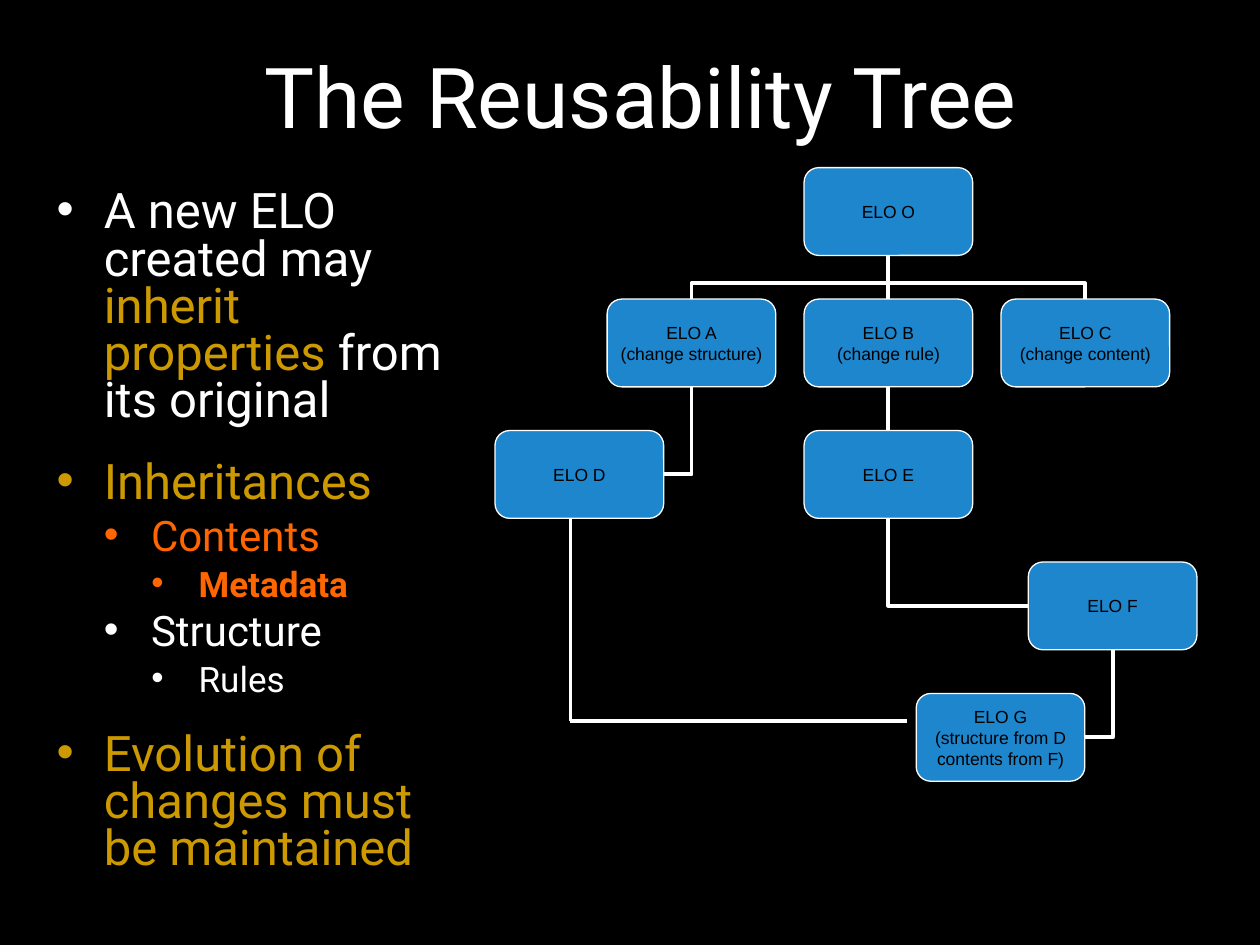
"""Build the slide about the reusability tree of ELOs."""
from dataclasses import dataclass

from lxml import etree
from pptx import Presentation
from pptx.dml.color import RGBColor
from pptx.enum.shapes import MSO_CONNECTOR, MSO_SHAPE
from pptx.enum.text import MSO_ANCHOR, MSO_AUTO_SIZE, PP_ALIGN
from pptx.oxml.ns import qn
from pptx.util import Cm, Pt

STRAIGHT, ELBOW = MSO_CONNECTOR.STRAIGHT, MSO_CONNECTOR.ELBOW
ROUNDED = MSO_SHAPE.ROUNDED_RECTANGLE
MIDDLE, TOP = MSO_ANCHOR.MIDDLE, MSO_ANCHOR.TOP
CENTER, LEFT = PP_ALIGN.CENTER, PP_ALIGN.LEFT
NO_AUTOFIT = MSO_AUTO_SIZE.NONE
TOP_SIDE, BOTTOM_SIDE = 0, 2


@dataclass(frozen=True)
class Theme:
    background: RGBColor = RGBColor(0x00, 0x00, 0x00)
    text: RGBColor = RGBColor(0xFF, 0xFF, 0xFF)
    gold: RGBColor = RGBColor(0xCC, 0x99, 0x00)
    orange: RGBColor = RGBColor(0xFF, 0x66, 0x00)
    box: RGBColor = RGBColor(0x1D, 0x86, 0xCD)
    box_text: RGBColor = RGBColor(0x00, 0x00, 0x00)
    font: str = "Roboto"
    box_font: str = "Arial"
    title_size: Pt = Pt(48)
    level_sizes: tuple = (Pt(28), Pt(24), Pt(20))
    box_size: Pt = Pt(10)
    box_line: Pt = Pt(0.75)
    link_line: Pt = Pt(2.25)


THEME = Theme()
LEVEL_INDENTS = (Cm(0.95), Cm(1.9), Cm(2.86))
LEVEL_SPACING = (Pt(20), Pt(6), Pt(6))
HANGING = Cm(-0.95)
BOX_WIDTH, BOX_HEIGHT = Cm(3.4), Cm(1.77)
ROOT_LEFT, ROOT_TOP = Cm(16.21), Cm(3.38)
SIBLING_STEP, SIDE_STEP, ROW_STEP = Cm(3.97), Cm(2.26), Cm(2.65)


@dataclass(frozen=True)
class Bullet:
    runs: tuple
    level: int = 0
    color: RGBColor = THEME.text
    bold: bool = False


@dataclass(frozen=True)
class Node:
    name: str
    row: int
    siblings: int = 0
    sidesteps: int = 0
    note: str = ""


BULLETS = (
    Bullet((("A new ELO created may ", None), ("inherit properties", THEME.gold),
            (" from its original", None))),
    Bullet((("Inheritances", None),), color=THEME.gold),
    Bullet((("Contents", None),), 1, THEME.orange),
    Bullet((("Metadata", None),), 2, THEME.orange, True),
    Bullet((("Structure", None),), 1),
    Bullet((("Rules", None),), 2),
    Bullet((("Evolution of changes must be maintained", None),), color=THEME.gold),
)
NODES = (
    Node("O", 0),
    Node("A", 1, siblings=-1, note="\n(change structure)"),
    Node("B", 1, note="\n(change rule)"),
    Node("C", 1, siblings=1, note="\n(change content)"),
    Node("E", 2),
    Node("F", 3, sidesteps=2),
    Node("D", 2, siblings=-1, sidesteps=-1),
    Node("G", 4, sidesteps=1, note="\n(structure from D\ncontents from F)"),
)
STRAIGHT_LINKS = (("B", "O"), ("E", "B"))
FORK_LINKS = (("A", "O"), ("C", "O"))
CORNER_LINKS = (("G", "F"), ("D", "A"), ("F", "E"))


def place(shape, left: Cm, top: Cm, width: Cm, height: Cm) -> None:
    shape.left, shape.top, shape.width, shape.height = left, top, width, height


def style_font(font, name: str, size: Pt, color: RGBColor, bold: bool = False) -> None:
    font.name, font.size, font.bold = name, size, bold
    font.color.rgb = color


def fill_title(title) -> None:
    place(title, Cm(1.7), Cm(0.64), Cm(22.43), Cm(2.54))
    frame = title.text_frame
    frame.text = "The Reusability Tree"
    frame.auto_size, frame.vertical_anchor = NO_AUTOFIT, MIDDLE
    paragraph = frame.paragraphs[0]
    paragraph.alignment = CENTER
    style_font(paragraph.font, THEME.font, THEME.title_size, THEME.text)


def add_bullet(paragraph, bullet: Bullet) -> None:
    level = bullet.level
    paragraph.level, paragraph.alignment = level, LEFT
    paragraph.line_spacing, paragraph.space_before = 0.8, LEVEL_SPACING[level]
    properties = paragraph._p.get_or_add_pPr()
    properties.set("marL", str(LEVEL_INDENTS[level]))
    properties.set("indent", str(HANGING))
    etree.SubElement(properties, qn("a:buChar")).set("char", "•")
    style_font(paragraph.font, THEME.font, THEME.level_sizes[level], bullet.color, bullet.bold)
    for text, color in bullet.runs:
        run = paragraph.add_run()
        run.text = text
        if color is not None:
            run.font.color.rgb = color


def fill_body(body) -> None:
    place(body, Cm(0.89), Cm(3.73), Cm(8.48), Cm(14.17))
    frame = body.text_frame
    frame.auto_size, frame.vertical_anchor = NO_AUTOFIT, TOP
    for index, bullet in enumerate(BULLETS):
        paragraph = frame.add_paragraph() if index else frame.paragraphs[0]
        add_bullet(paragraph, bullet)


def add_node(slide, node: Node):
    left = ROOT_LEFT + node.siblings * SIBLING_STEP + node.sidesteps * SIDE_STEP
    shape = slide.shapes.add_shape(
        ROUNDED, left, ROOT_TOP + node.row * ROW_STEP, BOX_WIDTH, BOX_HEIGHT)
    shape.shadow.inherit = False
    shape.fill.solid()
    shape.fill.fore_color.rgb = THEME.box
    shape.line.color.rgb, shape.line.width = THEME.text, THEME.box_line
    frame = shape.text_frame
    frame.text = f"ELO {node.name}{node.note}"
    frame.word_wrap, frame.vertical_anchor = False, MIDDLE
    frame.margin_left = frame.margin_top = frame.margin_right = frame.margin_bottom = 0
    for paragraph in frame.paragraphs:
        paragraph.alignment = CENTER
        style_font(paragraph.font, THEME.box_font, THEME.box_size, THEME.box_text)
    return shape


def add_link(slide, kind, start: tuple, end: tuple):
    connector = slide.shapes.add_connector(kind, *start, *end)
    connector.line.color.rgb, connector.line.width = THEME.text, THEME.link_line
    etree.SubElement(connector._element.spPr, qn("a:effectLst"))
    return connector


def bottom_middle(shape) -> tuple:
    return shape.left + shape.width // 2, shape.top + shape.height


def add_straight_link(slide, child, parent) -> None:
    connector = add_link(slide, STRAIGHT, (child.left, child.top), bottom_middle(parent))
    connector.begin_connect(child, TOP_SIDE)
    connector.end_connect(parent, BOTTOM_SIDE)


def add_corner_link(slide, child, parent) -> None:
    end = bottom_middle(parent)
    start_x = child.left if end[0] < child.left else child.left + child.width
    connector = add_link(slide, ELBOW, (start_x, child.top + child.height // 2), end)
    connector._element.spPr.find(qn("a:prstGeom")).set("prst", "bentConnector2")


def add_fork_link(slide, child, parent) -> None:
    """Draw a vertical elbow as a horizontal one turned by a quarter."""
    child_x, (parent_x, parent_y) = child.left + child.width // 2, bottom_middle(parent)
    drop, span = child.top - parent_y, abs(child_x - parent_x)
    left = (child_x + parent_x - drop) // 2
    top = (child.top + parent_y - span) // 2
    on_right = child_x > parent_x
    start_x, end_x = (left + drop, left) if on_right else (left, left + drop)
    connector = add_link(slide, ELBOW, (start_x, top), (end_x, top + span))
    properties = connector._element.spPr
    properties.find(qn("a:xfrm")).set("rot", "5400000" if on_right else "16200000")
    adjustments = properties.find(qn("a:prstGeom")).get_or_add_avLst()
    guide = etree.SubElement(adjustments, qn("a:gd"))
    guide.set("name", "adj1")
    guide.set("fmla", "val 36000")


def main() -> None:
    presentation = Presentation()
    presentation.slide_width, presentation.slide_height = Cm(25.4), Cm(19.05)
    slide = presentation.slides.add_slide(presentation.slide_layouts[1])
    slide.background.fill.solid()
    slide.background.fill.fore_color.rgb = THEME.background
    fill_title(slide.shapes.title)
    fill_body(slide.placeholders[1])
    corner = (Cm(11.5), Cm(14.53))
    add_link(slide, STRAIGHT, (Cm(11.5), Cm(10.31)), corner)
    add_link(slide, STRAIGHT, (Cm(18.29), Cm(14.53)), corner)
    boxes = {node.name: add_node(slide, node) for node in NODES}
    for links, draw in ((CORNER_LINKS, add_corner_link), (STRAIGHT_LINKS, add_straight_link),
                        (FORK_LINKS, add_fork_link)):
        for child, parent in links:
            draw(slide, boxes[child], boxes[parent])
    presentation.save("out.pptx")


if __name__ == "__main__":
    main()
